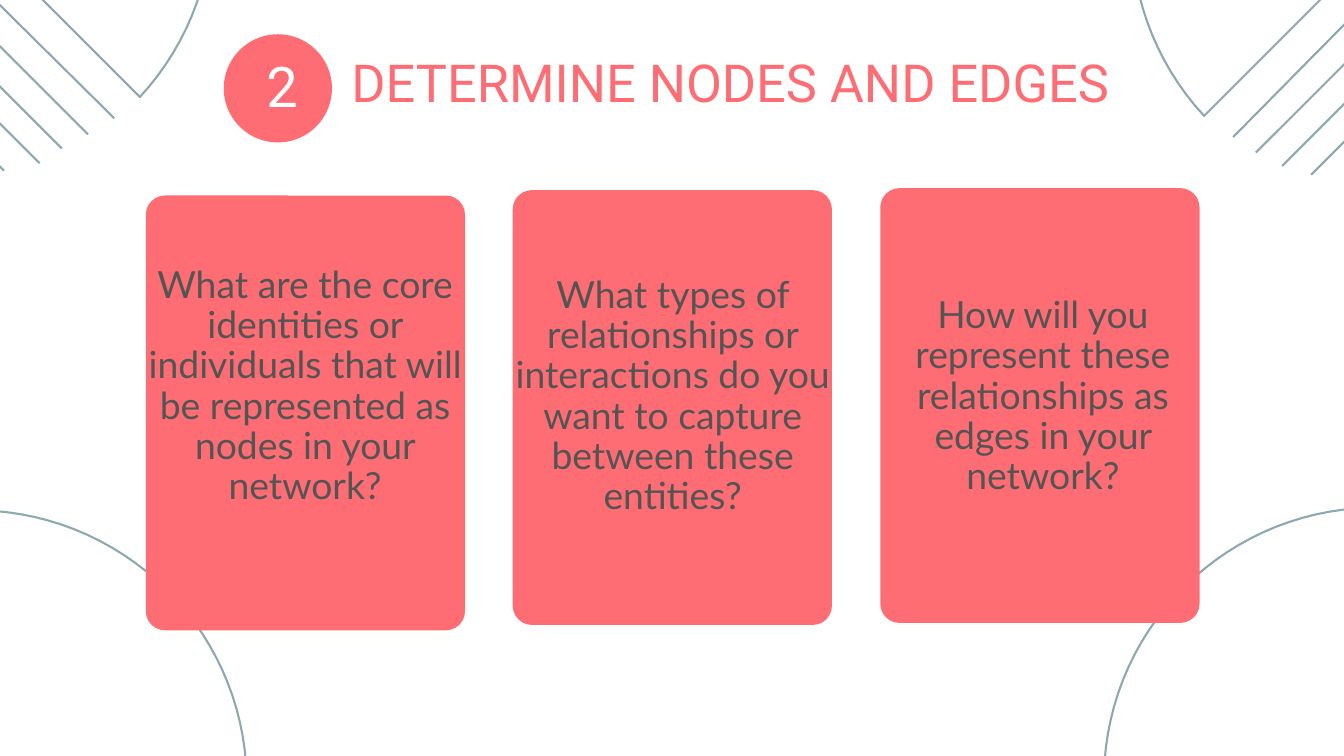
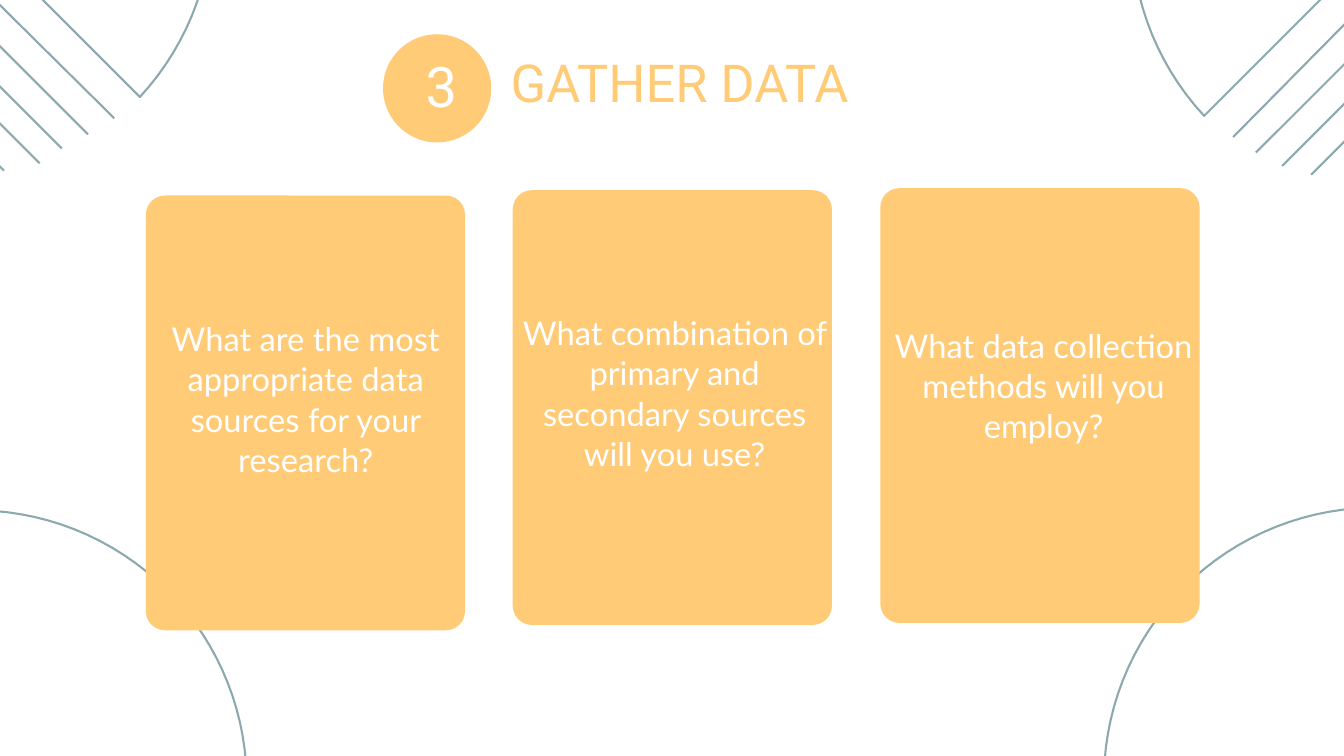
from math import asin, cos, pi, sin

from pptx import Presentation
from pptx.dml.color import RGBColor as Color
from pptx.enum.shapes import MSO_CONNECTOR as Link, MSO_SHAPE as Form
from pptx.enum.text import MSO_ANCHOR as Anchor, MSO_AUTO_SIZE as Fit, PP_ALIGN as Align
from pptx.oxml.ns import qn
from pptx.util import Inches, Pt
from lxml.etree import SubElement

CORAL = Color(0xFE, 0x6D, 0x73)
AMBER = Color(0xFF, 0xCB, 0x77)
SAGE = Color(0x8C, 0xA9, 0xAD)
GRAY = Color(0x54, 0x54, 0x54)
WHITE = Color(0xFF, 0xFF, 0xFF)

DOMES = [
    (-3.46, -4.75, 45),
    (-2.95, 8.21, 45),
    (15.35, -4.47, 315),
    (14.94, 8.17, 315),
]
RAYS = [
    (-3.97, -3.85, 1.7, 1.76),
    (-4.2, -3.51, 1.31, 2),
    (-4.4, -3.12, 0.92, 2.21),
    (-4.54, -2.7, 0.59, 2.43),
    (-4.69, -2.21, 0.06, 2.54),
    (18.35, 2.04, 23.96, -3.64),
    (18.69, 2.27, 24.2, -3.24),
    (19.08, 2.47, 24.41, -2.86),
    (19.51, 2.6, 24.64, -2.53),
]
CARDS = [(2.17, 2.91), (7.63, 2.83), (13.1, 2.8)]

STEPS = [
    ("2", "DETERMINE NODES AND EDGES", 5.23, 13.26, CORAL, GRAY, 40, [
        ("What are the core identities or individuals that will be "
         "represented as nodes in your network?", 2.2, 3.95, 4.23),
        ("What types of relationships or interactions do you want to "
         "capture between these entities?", 7.67, 4.1, 3.63),
        ("How will you represent these relationships as edges in your "
         "network?", 13.18, 4.4, 3.02),
    ]),
    ("3", "GATHER DATA", 7.6, 6.69, AMBER, WHITE, 35, [
        ("What are the most appropriate data sources for your research?",
         2.21, 4.73, 2.4),
        ("What combination of primary and secondary sources will you use?",
         7.7, 4.64, 2.4),
        ("What data collection methods will you employ?", 13.19, 4.83, 1.8),
    ]),
]


class Deck:
    def __init__(self):
        self.show = Presentation()
        self.show.slide_width = Inches(20)
        self.show.slide_height = Inches(11.25)

    def start(self):
        self.slide = self.show.slides.add_slide(self.show.slide_layouts[5])
        self.shapes = self.slide.shapes

    def dome(self, left, top, turn):
        width, height, count = 8.11, 3.9, 60
        radius = width / 2
        dip = asin((radius - height) / radius)
        sweep = pi - 2 * dip
        points = []
        for step in range(count + 1):
            angle = pi + dip + sweep * step / count
            points.append((Inches(left + radius + radius * cos(angle)),
                           Inches(top + radius + radius * sin(angle))))
        build = self.shapes.build_freeform(*points[0], scale=1.0)
        build.add_line_segments(points[1:], close=True)
        shape = build.convert_to_shape()
        shape.rotation = turn
        shape.shadow.inherit = False
        shape.fill.background()
        self.stroke(shape)

    def stroke(self, shape):
        shape.line.color.rgb = SAGE
        shape.line.width = Pt(2.25)

    def ray(self, *ends):
        line = self.shapes.add_connector(Link.STRAIGHT, *map(Inches, ends))
        self.stroke(line)
        SubElement(line._element.spPr, qn("a:effectLst"))

    def block(self, form, box, color):
        shape = self.shapes.add_shape(form, *map(Inches, box))
        shape.shadow.inherit = False
        shape.fill.solid()
        shape.fill.fore_color.rgb = color
        shape.line.fill.background()
        return shape

    def card(self, left, top, color):
        shape = self.block(Form.ROUNDED_RECTANGLE, (left, top, 4.75, 6.47), color)
        shape.adjustments[0] = 0.06

    def style(self, shape, box, text, font, size, color, pitch, align):
        shape.left, shape.top, shape.width, shape.height = map(Inches, box)
        frame = shape.text_frame
        frame.text = text
        frame.word_wrap = True
        frame.auto_size = Fit.SHAPE_TO_FIT_TEXT
        frame.vertical_anchor = Anchor.TOP
        frame.margin_left = frame.margin_right = 0
        frame.margin_top = frame.margin_bottom = 0
        para = frame.paragraphs[0]
        para.alignment = align
        para.line_spacing = Pt(pitch)
        run = para.runs[0]
        run.font.name = font
        run.font.size = Pt(size)
        run.font.color.rgb = color
        return run

    def label(self, box, text, font, size, color, pitch):
        shape = self.shapes.add_textbox(*map(Inches, box))
        return self.style(shape, box, text, font, size, color, pitch, Align.CENTER)

    def title(self, left, width, text, color):
        self.style(self.shapes.title, (left, 1.14, width, 0.56), text,
                   "Roboto", 56, color, 39.2, Align.LEFT)

    def badge(self, left, digit, color):
        self.block(Form.OVAL, (left - 1.9, 0.51, 1.61, 1.61), color)
        run = self.label((left - 2.06, 1.14, 2.06, 0.63), digit,
                         "Roboto", 60, WHITE, 44.8)
        run._r.get_or_add_rPr().set("spc", "340")

    def decor(self):
        for dome in DOMES:
            self.dome(*dome)
        for ray in RAYS:
            self.ray(*ray)


def main():
    deck = Deck()
    for digit, title, left, width, color, ink, size, notes in STEPS:
        deck.start()
        deck.decor()
        deck.title(left, width, title, color)
        deck.badge(left, digit, color)
        for spot, (text, x, y, height) in zip(CARDS, notes):
            deck.card(*spot, color)
            deck.label((x, y, 4.68, height), text, "Lato", size, ink, 43.2)
    deck.show.save("out.pptx")


if __name__ == "__main__":
    main()
